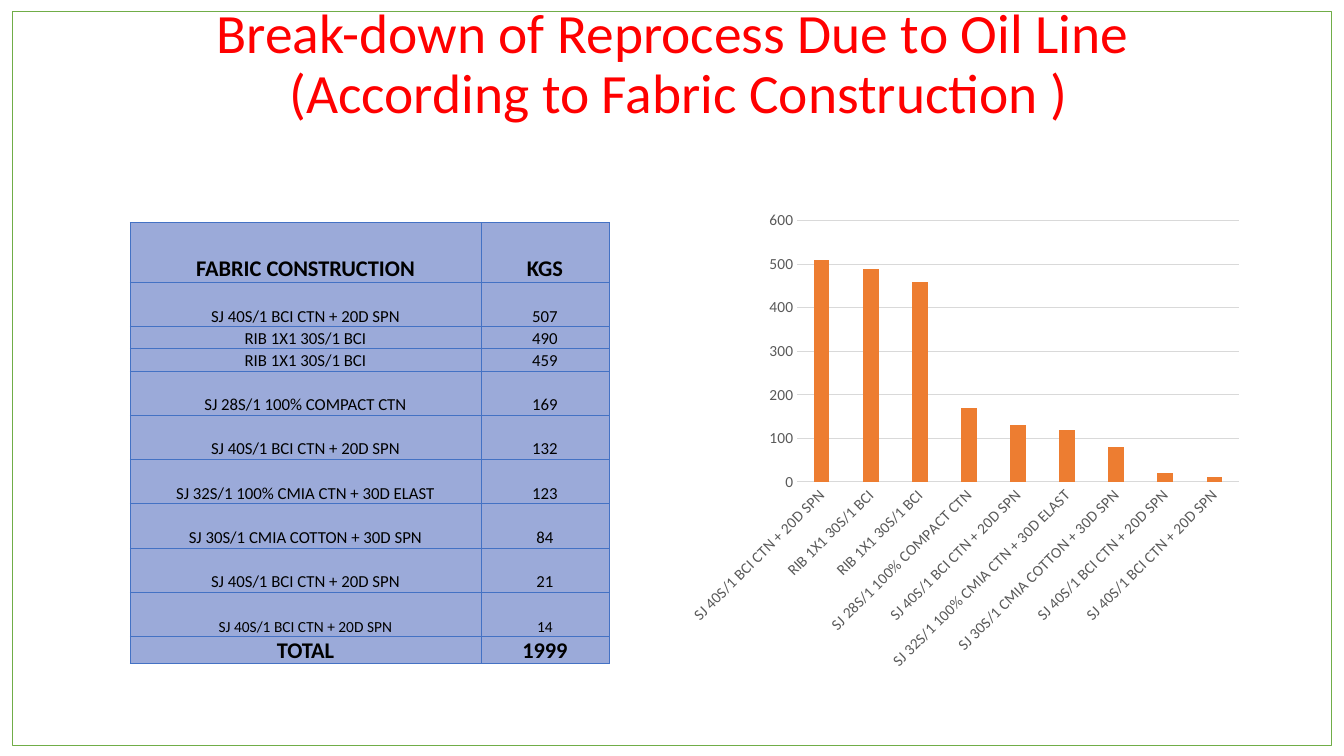
import pptx
import pptx.util
import pptx.chart.data
import pptx.dml.color
import pptx.enum.chart
import pptx.enum.shapes
import pptx.enum.text
import pptx.oxml
import pptx.oxml.ns

Inches = pptx.util.Inches
FONT = "Calibri"
TABLE_FILL = "9BAAD9"
TABLE_LINE = "4472C4"
GREY_LINE = "D9D9D9"
FABRICS = [
    ("SJ 40S/1 BCI CTN + 20D SPN", 507),
    ("RIB 1X1 30S/1 BCI", 490),
    ("RIB 1X1 30S/1 BCI", 459),
    ("SJ 28S/1 100% COMPACT CTN", 169),
    ("SJ 40S/1 BCI CTN + 20D SPN", 132),
    ("SJ 32S/1 100% CMIA CTN + 30D ELAST", 123),
    ("SJ 30S/1 CMIA COTTON + 30D SPN", 84),
    ("SJ 40S/1 BCI CTN + 20D SPN", 21),
    ("SJ 40S/1 BCI CTN + 20D SPN", 14),
]


def color(value):
    return pptx.dml.color.RGBColor.from_string(value)


def style_font(font, size, value, bold=False):
    font.name = FONT
    font.size = pptx.util.Pt(size)
    font.bold = bold
    font.color.rgb = color(value)


def style_line(line, value, width):
    line.color.rgb = color(value)
    line.width = pptx.util.Pt(width)


def add_run(paragraph, text, size, value, bold=False):
    run = paragraph.add_run()
    run.text = text
    style_font(run.font, size, value, bold)


def add_title(slide, lines):
    shape = slide.shapes.add_textbox(Inches(0.92), Inches(0.06), Inches(11.5), Inches(1.74))
    frame = shape.text_frame
    frame.word_wrap = True
    frame.margin_top = 0
    frame.vertical_anchor = pptx.enum.text.MSO_ANCHOR.TOP
    paragraph = frame.paragraphs[0]
    paragraph.alignment = pptx.enum.text.PP_ALIGN.CENTER
    paragraph.line_spacing = 0.9
    for index, line in enumerate(lines):
        if index:
            paragraph.add_line_break()
        add_run(paragraph, line, 39.6, "FF0000")


def add_borders(cell):
    properties = cell._tc.get_or_add_tcPr()
    for side in ("lnL", "lnR", "lnT", "lnB"):
        properties.append(pptx.oxml.parse_xml(
            f'<a:{side} {pptx.oxml.ns.nsdecls("a")} w="6350"><a:solidFill>'
            f'<a:srgbClr val="{TABLE_LINE}"/></a:solidFill></a:{side}>'))


def fill_cell(cell, text, size, bold):
    add_borders(cell)
    cell.fill.solid()
    cell.fill.fore_color.rgb = color(TABLE_FILL)
    cell.margin_left = cell.margin_right = cell.margin_top = cell.margin_bottom = 0
    cell.vertical_anchor = pptx.enum.text.MSO_ANCHOR.BOTTOM
    paragraph = cell.text_frame.paragraphs[0]
    paragraph.alignment = pptx.enum.text.PP_ALIGN.CENTER
    add_run(paragraph, text, size, "000000", bold)


def add_fabric_table(slide):
    total = sum(kilograms for _, kilograms in FABRICS)
    rows = [("FABRIC CONSTRUCTION", "KGS"), *FABRICS, ("TOTAL", total)]
    heights = [0.59, 0.44, 0.22, 0.22] + [0.44] * 6 + [0.26]
    sizes = [16] + [12] * 8 + [11, 16]
    frame = slide.shapes.add_table(
        len(rows), 2, Inches(1.29), Inches(2.21), Inches(4.75), Inches(sum(heights)))
    table = frame.table
    table.first_row = table.horz_banding = False
    for column, width in zip(table.columns, (3.48, 1.27)):
        column.width = Inches(width)
    for index, (values, height, size) in enumerate(zip(rows, heights, sizes)):
        table.rows[index].height = Inches(height)
        for column, value in enumerate(values):
            fill_cell(table.cell(index, column), str(value), size, size == 16)


def style_axis(axis):
    axis.major_tick_mark = axis.minor_tick_mark = pptx.enum.chart.XL_TICK_MARK.NONE
    style_font(axis.tick_labels.font, 11, "595959")


def add_fabric_chart(slide):
    data = pptx.chart.data.CategoryChartData(number_format="0")
    data.categories = [fabric for fabric, _ in FABRICS]
    data.add_series("Series 1", [round(kilograms, -1) for _, kilograms in FABRICS])
    chart = slide.shapes.add_chart(
        pptx.enum.chart.XL_CHART_TYPE.COLUMN_CLUSTERED,
        Inches(6.73), Inches(2), Inches(5.67), Inches(4.75), data).chart
    style_font(chart.font, 10, "000000")
    chart.has_legend = False
    chart.has_title = False

    plot = chart.plots[0]
    plot.gap_width = 219
    plot.overlap = -27
    plot.vary_by_categories = False
    fill = plot.series[0].format.fill
    fill.solid()
    fill.fore_color.rgb = color("ED7D31")

    category_axis, value_axis = chart.category_axis, chart.value_axis
    style_axis(category_axis)
    style_line(category_axis.format.line, GREY_LINE, 0.75)
    category_axis._element.txPr.bodyPr.set("rot", "-2700000")
    style_axis(value_axis)
    value_axis.minimum_scale = 0
    value_axis.maximum_scale = 600
    value_axis.major_unit = 100
    value_axis.format.line.fill.background()
    value_axis.has_major_gridlines = True
    style_line(value_axis.major_gridlines.format.line, GREY_LINE, 0.75)


def add_frame(slide):
    shape = slide.shapes.add_shape(
        pptx.enum.shapes.MSO_SHAPE.RECTANGLE,
        Inches(0.12), Inches(0.11), Inches(13.09), Inches(7.29))
    shape.shadow.inherit = False
    shape.fill.background()
    style_line(shape.line, "70AD47", 0.75)


def main():
    presentation = pptx.Presentation()
    presentation.slide_width = Inches(13.33)
    presentation.slide_height = Inches(7.5)
    slide = presentation.slides.add_slide(presentation.slide_layouts[6])
    add_title(slide, ["Break-down of Reprocess Due to Oil Line",
                      " (According to Fabric Construction )"])
    add_fabric_table(slide)
    add_fabric_chart(slide)
    add_frame(slide)
    presentation.save("out.pptx")


if __name__ == "__main__":
    main()
